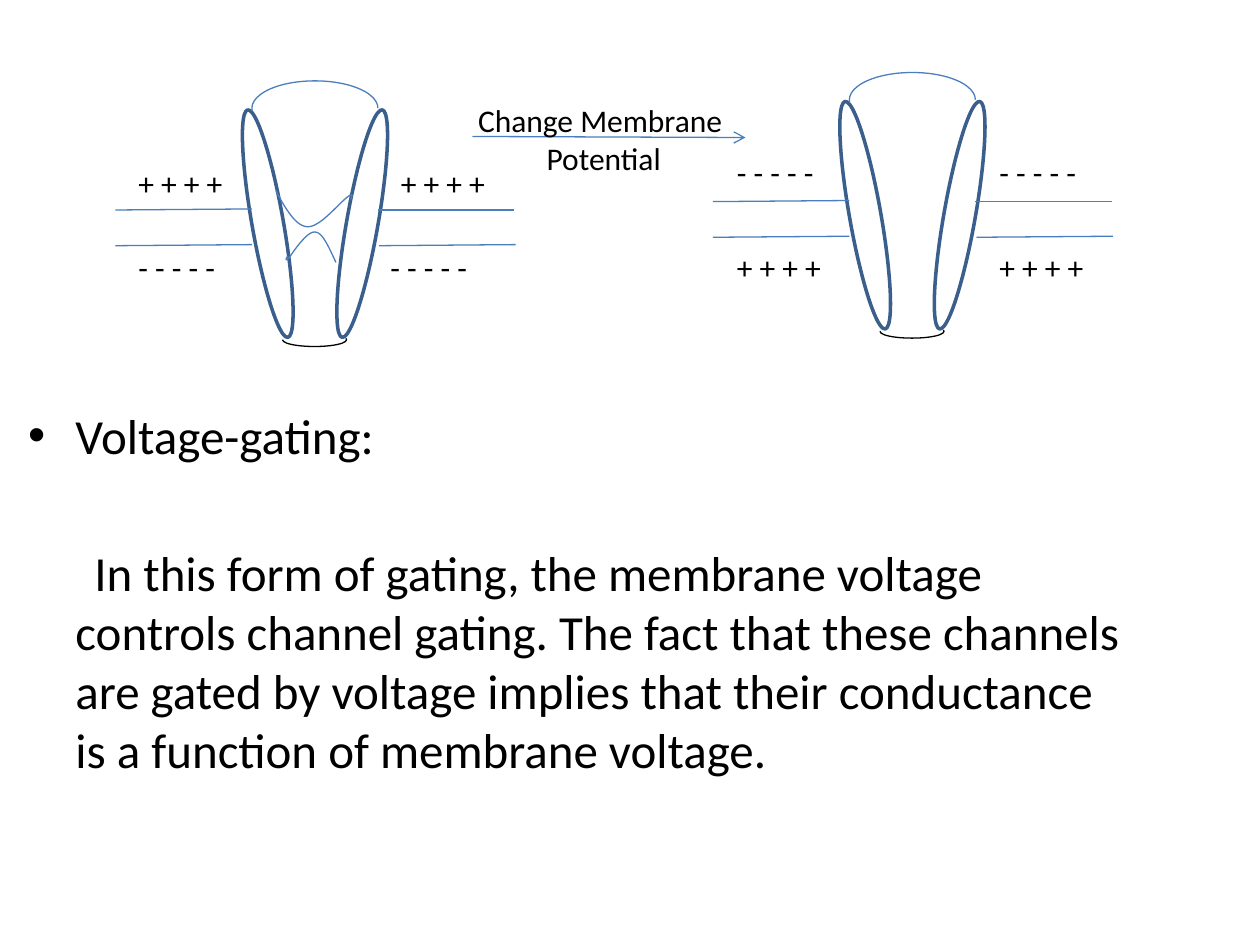
"""Build the voltage-gating slide on a grid of 120 columns by 90 rows."""
from lxml import etree
from pptx import Presentation, util as u
from pptx.dml.color import RGBColor
from pptx.enum import shapes, text
from pptx.oxml import ns


def cells(*counts):
    return [u.Emu(round(count * u.Inches(10) / 120)) for count in counts]


def outline(item, color, weight):
    item.line.color.rgb = RGBColor.from_string(color)
    item.line.width = u.Pt(weight)
    if hasattr(item, "fill"):
        item.fill.background()
        item.shadow.inherit = False
    else:
        etree.SubElement(item.line._get_or_add_ln().getparent(), ns.qn("a:effectLst"))


BLUE, NAVY, BLACK = "4B7EBC", "3A5F8C", "000000"
PLUS, MINUS = "+ + + +", "- - - - -"

presentation = Presentation()
presentation.slide_width, presentation.slide_height = cells(120, 90)
slide = presentation.slides.add_slide(presentation.slide_layouts[6])

channel_parts = [
    (shapes.MSO_SHAPE.OVAL, (24, 10.3, 3, 22), -10, NAVY, 2),
    (shapes.MSO_SHAPE.OVAL, (33, 10.3, 3, 22), 10, NAVY, 2),
    (shapes.MSO_SHAPE.ARC, (24, 7.7, 12, 5.2), 0, BLUE, 0.75),
    (shapes.MSO_SHAPE.ARC, (26.9, 31.7, 6.1, 1.3), 180, BLACK, 0.75),
]
lines = []
for right, down in [(0, 0), (56.9, -0.8)]:
    for kind, (left, top, width, height), rotation, color, weight in channel_parts:
        shape = slide.shapes.add_shape(
            kind, *cells(left + right, top + down, width, height))
        shape.rotation = rotation
        if kind == shapes.MSO_SHAPE.ARC:
            shape.adjustments[0] = 106.592
            shape.adjustments[1] = 0
        outline(shape, color, weight)
    for left, top, rise in [(11, 20, 0.1), (36, 20, 0), (11, 23.4, 0.1), (36.1, 23.4, 0.1)]:
        lines.append((left + right, top + down, left + right + 13, top + down - rise))

lines.append((45, 13, 71, 13.1))
for ends in lines:
    connector = slide.shapes.add_connector(shapes.MSO_CONNECTOR.STRAIGHT, *cells(*ends))
    outline(connector, BLUE, 0.75)
etree.SubElement(connector.line._get_or_add_ln(), ns.qn("a:tailEnd"), type="arrow")

gate_curves = [
    [(26.3, 18.2), (27.2, 19.9), (28.2, 21.6), (29.3, 21.6), (30.5, 21.7),
     (32.5, 19.1), (33.2, 18.7), (33.8, 18.2), (33.4, 19), (33.4, 19)],
    [(32, 25), (31.3, 23.5), (30.7, 22.1), (30, 22.1), (29.2, 22),
     (27.8, 24.2), (27.5, 24.6), (27, 25), (27.4, 24.4), (27.4, 24.4)],
]
steps = 12
for curve in gate_curves:
    points = []
    for first in range(0, len(curve) - 1, 3):
        for step in range(1, steps + 1):
            t = step / steps
            shares = ((1 - t) ** 3, 3 * t * (1 - t) ** 2, 3 * t ** 2 * (1 - t), t ** 3)
            points.append(cells(*(
                sum(share * point[axis] for share, point in zip(shares, curve[first:first + 4]))
                for axis in (0, 1))))
    builder = slide.shapes.build_freeform(*cells(*curve[0]))
    builder.add_line_segments(points, close=False)
    outline(builder.convert_to_shape(), BLUE, 0.75)

explanation = (
    "In this form of gating, the membrane voltage controls channel gating. "
    "The fact that these channels are gated by voltage implies that their "
    "conductance is a function of membrane voltage.")
center = {"alignment": text.PP_ALIGN.CENTER}
charges = [
    (12, 15, PLUS), (37, 15, PLUS), (12, 23, MINUS), (36, 23, MINUS),
    (69, 14, MINUS), (94, 14, MINUS), (69, 23, PLUS), (94, 23, PLUS),
]
labels = [((left, top, 11, 4.8), 18, [(charge, {}, None)]) for left, top, charge in charges]
labels += [
    ((41, 9, 33, 8.5), 18, [("Change Membrane ", center, None), ("Potential", center, None)]),
    ((1.5, 38, 106.5, 50), 28, [
        ("Voltage-gating:", {"space_before": u.Pt(5.6)}, -4.5),
        (explanation, {"space_before": u.Pt(45)}, 1.8),
    ]),
]
for box, size, paragraphs in labels:
    frame = slide.shapes.add_textbox(*cells(*box)).text_frame
    frame.word_wrap = True
    for index, (words, layout, indent) in enumerate(paragraphs):
        paragraph = frame.add_paragraph() if index else frame.paragraphs[0]
        paragraph.text = words
        for name, value in layout.items():
            setattr(paragraph, name, value)
        for name, value in {"name": "Calibri", "size": u.Pt(size)}.items():
            setattr(paragraph.runs[0].font, name, value)
        paragraph.runs[0].font.color.rgb = RGBColor.from_string(BLACK)
        if indent is not None:
            margin, first_line = cells(4.5, indent)
            properties = paragraph._p.get_or_add_pPr()
            properties.set("marL", str(int(margin)))
            properties.set("indent", str(int(first_line)))
            if indent < 0:
                etree.SubElement(properties, ns.qn("a:buFont"), typeface="Arial")
                etree.SubElement(properties, ns.qn("a:buChar"), char="•")

presentation.save("out.pptx")
